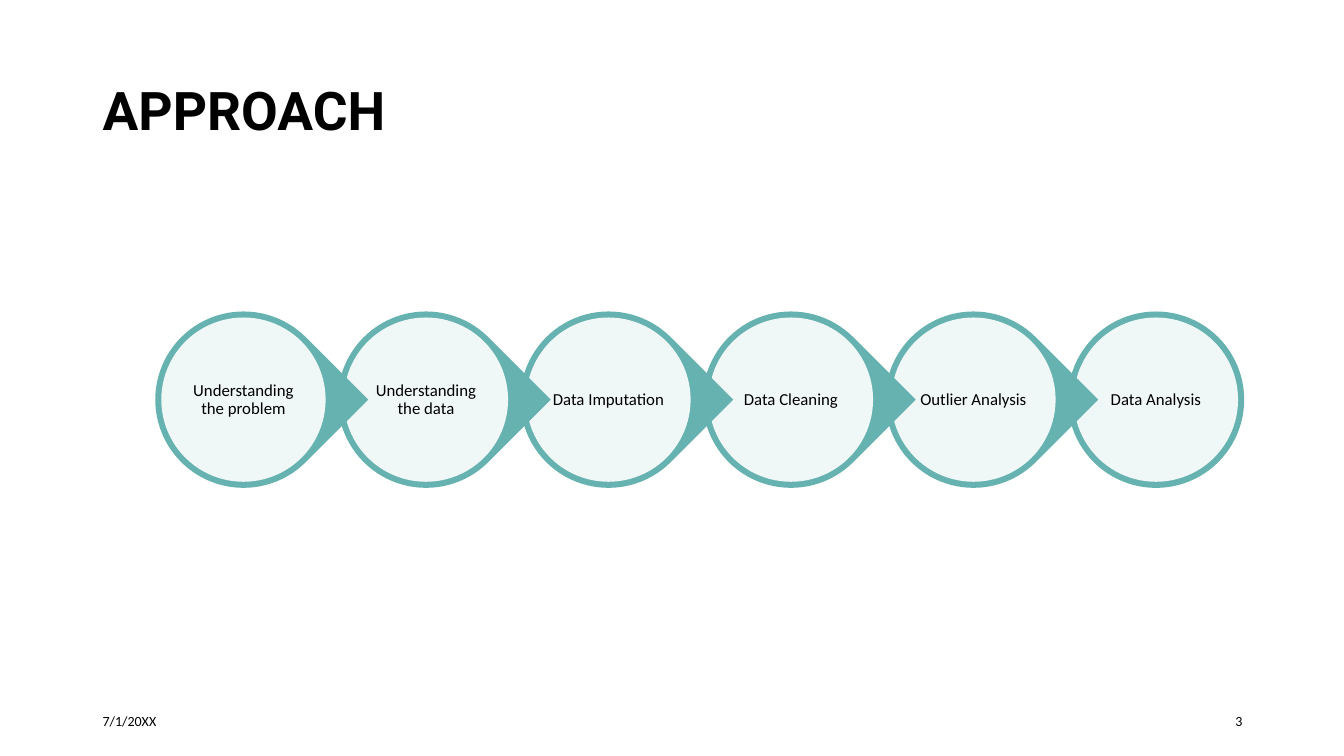
from dataclasses import dataclass

from lxml.etree import SubElement
from pptx import Presentation
from pptx.dml.color import RGBColor
from pptx.enum.shapes import MSO_SHAPE
from pptx.enum.text import MSO_ANCHOR, PP_ALIGN
from pptx.oxml.ns import qn
from pptx.shapes.autoshape import Shape
from pptx.slide import Slide
from pptx.util import Emu, Pt

EMU_PER_PX = 9144  # 100 px to the inch
TEAL, WHITE, BLACK = "66B2B0", "FFFFFF", "000000"

STEPS = [
    "Understanding the problem",
    "Understanding the data",
    "Data Imputation",
    "Data Cleaning",
    "Outlier Analysis",
    "Data Analysis",
]
FIRST_LEFT, STEP_TOP, STEP_SIZE, STEP_PITCH = 154, 309, 175, 181
DISC_INSET, LABEL_INSET = 6, 29


@dataclass(frozen=True)
class Area:
    left: int
    top: int
    width: int
    height: int

    def inset(self, margin: int) -> "Area":
        return Area(self.left + margin, self.top + margin,
                    self.width - 2 * margin, self.height - 2 * margin)

    def to_emu(self) -> list[Emu]:
        return [px(value) for value in (self.left, self.top, self.width, self.height)]


@dataclass(frozen=True)
class Label:
    text: str
    area: Area
    size: int
    font: str = "Calibri"
    bold: bool = False
    align: PP_ALIGN = PP_ALIGN.LEFT
    line_spacing: float = 1.0
    margins: tuple[int, int] = (10, 5)


def px(value: int) -> Emu:
    return Emu(value * EMU_PER_PX)


def color(value: str) -> RGBColor:
    return RGBColor.from_string(value)


def add_solid(page: Slide, kind: MSO_SHAPE, area: Area, fill: str) -> Shape:
    shape = page.shapes.add_shape(kind, *area.to_emu())
    shape.shadow.inherit = False
    shape.fill.solid()
    shape.fill.fore_color.rgb = color(fill)
    shape.line.fill.background()
    return shape


def set_opacity(shape: Shape, percent: int) -> None:
    fill = shape.fill.fore_color
    fill.rgb = fill.rgb
    tone = shape.element.spPr.find(f"{qn('a:solidFill')}/{qn('a:srgbClr')}")
    SubElement(tone, qn("a:alpha"), val=str(percent * 1000))


def add_label(page: Slide, label: Label) -> None:
    box = page.shapes.add_textbox(*label.area.to_emu())
    frame = box.text_frame
    frame.word_wrap = True
    frame.vertical_anchor = MSO_ANCHOR.MIDDLE
    side, end = label.margins
    frame.margin_left = frame.margin_right = px(side)
    frame.margin_top = frame.margin_bottom = px(end)
    para = frame.paragraphs[0]
    para.text = label.text
    para.alignment = label.align
    para.line_spacing = label.line_spacing
    para.font.name = label.font
    para.font.size = Pt(label.size)
    para.font.bold = label.bold
    para.font.color.rgb = color(BLACK)


def add_step(page: Slide, index: int) -> None:
    """Draw one step; all but the last point to the next one."""
    area = Area(FIRST_LEFT + index * STEP_PITCH, STEP_TOP, STEP_SIZE, STEP_SIZE)
    if index == len(STEPS) - 1:
        add_solid(page, MSO_SHAPE.OVAL, area, TEAL)
    else:
        pointer = add_solid(page, MSO_SHAPE.TEAR, area, TEAL)
        pointer.adjustments[0] = 1.0
        pointer.rotation = 45
    disc = add_solid(page, MSO_SHAPE.OVAL, area.inset(DISC_INSET), WHITE)
    set_opacity(disc, 90)
    add_label(page, Label(STEPS[index], area.inset(LABEL_INSET), 12,
                          align=PP_ALIGN.CENTER, line_spacing=0.9, margins=(2, 2)))


def main() -> None:
    deck = Presentation()
    deck.slide_width, deck.slide_height = px(1333), px(750)
    page = deck.slides.add_slide(deck.slide_layouts[6])

    # Right to left, so that each pointer lies over the next step
    for index in reversed(range(len(STEPS))):
        add_step(page, index)

    add_label(page, Label("7/1/20XX", Area(92, 695, 300, 40), 10))
    add_label(page, Label("3", Area(942, 695, 300, 40), 10, align=PP_ALIGN.RIGHT))
    add_label(page, Label("APPROACH", Area(92, 40, 1150, 145), 38,
                          font="Roboto", bold=True, line_spacing=0.9))
    deck.save("out.pptx")


if __name__ == "__main__":
    main()
